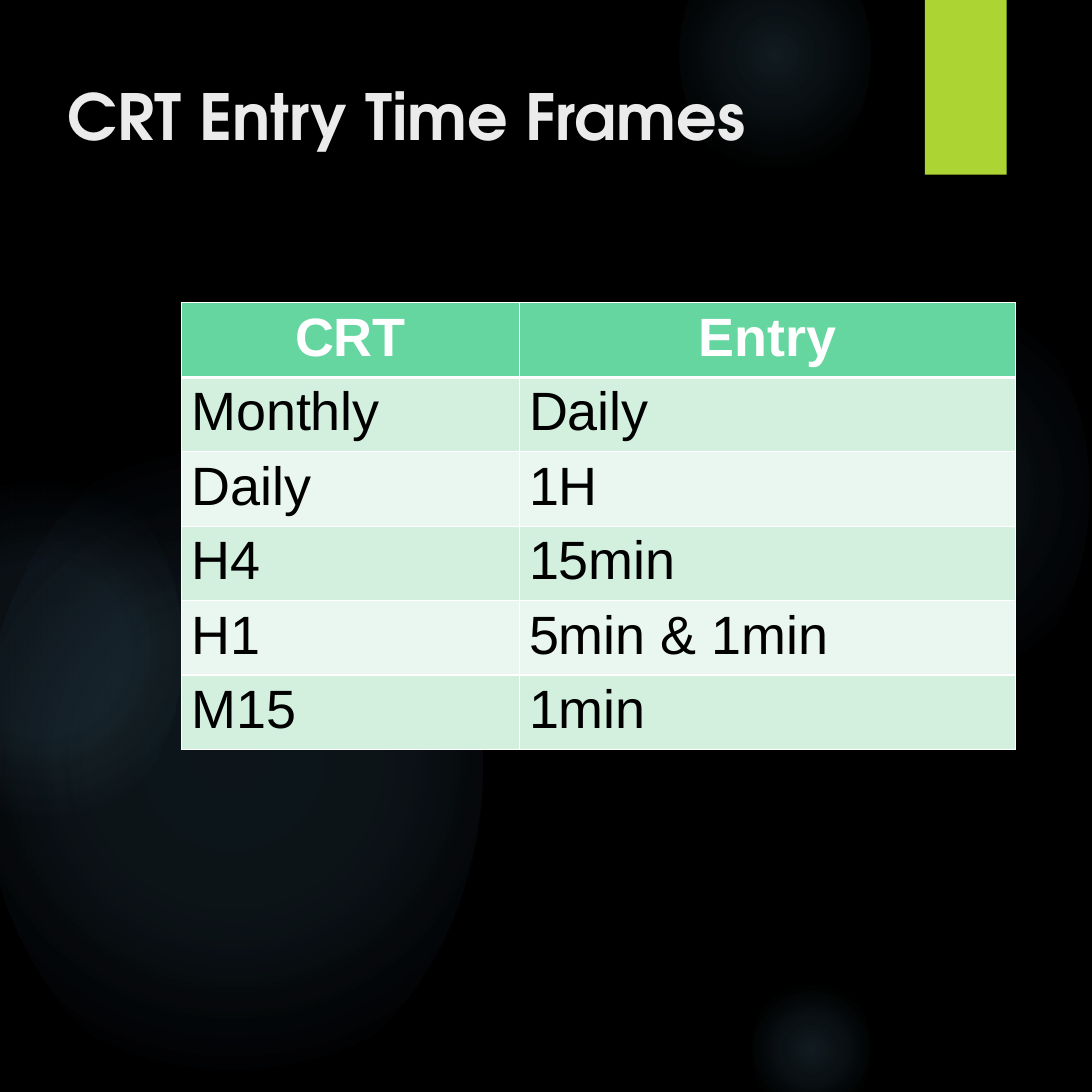
from dataclasses import dataclass

from pptx import Presentation
from pptx import oxml
from pptx.dml import color
from pptx.enum import shapes, text
from pptx.oxml import ns
from pptx.util import Inches, Pt

COLORS = {
    "background": "000000",
    "glow": "7AC4F0",
    "accent": "ACD433",
    "title": "EBEBEB",
    "header": "65D6A0",
    "odd_row": "D3F0DF",
    "even_row": "EAF7F0",
    "white": "FFFFFF",
    "black": "000000",
}
TIME_FRAMES = [
    ("CRT", "Entry"),
    ("Monthly", "Daily"),
    ("Daily", "1H"),
    ("H4", "15min"),
    ("H1", "5min & 1min"),
    ("M15", "1min"),
]
COLUMN_WIDTHS = (3.48, 5.11)
ROW_HEIGHT = 0.72


@dataclass(frozen=True)
class Glow:
    left: float
    top: float
    width: float
    height: float
    center_alpha: int
    middle_alpha: int
    edge: int


GLOWS = [
    Glow(7.75, 2.75, 3.47, 4.62, 7, 6, 69),
    Glow(7, -0.75, 1.97, 2.62, 14, 7, 73),
    Glow(7.75, 10, 1.22, 1.62, 14, 7, 66),
    Glow(-0.19, 4.38, 5.16, 6.88, 11, 10, 75),
    Glow(-1.03, 4.75, 2.91, 3.88, 8, 8, 72),
]


def rgb(name: str) -> color.RGBColor:
    return color.RGBColor.from_string(COLORS[name])


def write(frame, content: str, *, font: str, size: float, fill: str,
          bold: bool = False, align=text.PP_ALIGN.LEFT) -> None:
    paragraph = frame.paragraphs[0]
    paragraph.alignment = align
    run = paragraph.add_run()
    run.text = content
    run.font.name = font
    run.font.size = Pt(size)
    run.font.bold = bold
    run.font.color.rgb = rgb(fill)


def add_plain_shape(slide, kind, left: float, top: float, width: float, height: float):
    shape = slide.shapes.add_shape(
        kind, Inches(left), Inches(top), Inches(width), Inches(height))
    shape.shadow.inherit = False
    shape.line.fill.background()
    return shape


def draw_glow(slide, glow: Glow) -> None:
    ellipse = add_plain_shape(slide, shapes.MSO_SHAPE.OVAL,
                              glow.left, glow.top, glow.width, glow.height)
    stops = "".join(
        f'<a:gs pos="{position * 1000}"><a:srgbClr val="{COLORS["glow"]}">'
        f'<a:alpha val="{alpha * 1000}"/></a:srgbClr></a:gs>'
        for position, alpha in ((0, glow.center_alpha), (36, glow.middle_alpha), (glow.edge, 0))
    )
    gradient = oxml.parse_xml(
        f'<a:gradFill {ns.nsdecls("a")} rotWithShape="1"><a:gsLst>{stops}</a:gsLst>'
        '<a:path path="circle"><a:fillToRect l="50000" t="50000" r="50000" b="50000"/>'
        '</a:path></a:gradFill>')
    ellipse._element.spPr.insert(2, gradient)


def draw_accent(slide) -> None:
    accent = add_plain_shape(slide, shapes.MSO_SHAPE.RECTANGLE, 9.53, 0, 0.84, 1.8)
    accent.fill.solid()
    accent.fill.fore_color.rgb = rgb("accent")


def draw_title(slide) -> None:
    title = slide.shapes.add_textbox(Inches(0.6), Inches(0.74), Inches(8.68), Inches(2.3))
    title.text_frame.word_wrap = True
    write(title.text_frame, "CRT Entry Time Frames", font="TeX Gyre Adventor",
          size=47.2, fill="title", bold=True)


def set_borders(cell, top: float, bottom: float) -> None:
    properties = cell._tc.get_or_add_tcPr()
    for side, width in (("L", 1), ("R", 1), ("T", top), ("B", bottom)):
        properties.append(oxml.parse_xml(
            f'<a:ln{side} {ns.nsdecls("a")} w="{Pt(width)}"><a:solidFill>'
            f'<a:srgbClr val="{COLORS["white"]}"/></a:solidFill></a:ln{side}>'))


def draw_time_frames(slide) -> None:
    table = slide.shapes.add_table(
        len(TIME_FRAMES), len(COLUMN_WIDTHS), Inches(1.87), Inches(3.12),
        Inches(sum(COLUMN_WIDTHS)), Inches(ROW_HEIGHT * len(TIME_FRAMES))).table
    for column, width in zip(table.columns, COLUMN_WIDTHS):
        column.width = Inches(width)
    for index, entries in enumerate(TIME_FRAMES):
        table.rows[index].height = Inches(ROW_HEIGHT)
        is_header = index == 0
        band = "header" if is_header else ("odd_row" if index % 2 else "even_row")
        for position, entry in enumerate(entries):
            cell = table.cell(index, position)
            set_borders(cell, top=3 if index == 1 else 1, bottom=3 if is_header else 1)
            cell.fill.solid()
            cell.fill.fore_color.rgb = rgb(band)
            write(cell.text_frame, entry, font="Arial", size=40,
                  fill="white" if is_header else "black", bold=is_header,
                  align=text.PP_ALIGN.CENTER if is_header else text.PP_ALIGN.LEFT)


def main() -> None:
    deck = Presentation()
    deck.slide_width = deck.slide_height = Inches(11.25)
    slide = deck.slides.add_slide(deck.slide_layouts[6])
    slide.background.fill.solid()
    slide.background.fill.fore_color.rgb = rgb("background")
    for glow in GLOWS:
        draw_glow(slide, glow)
    draw_accent(slide)
    draw_title(slide)
    draw_time_frames(slide)
    deck.save("out.pptx")


if __name__ == "__main__":
    main()
